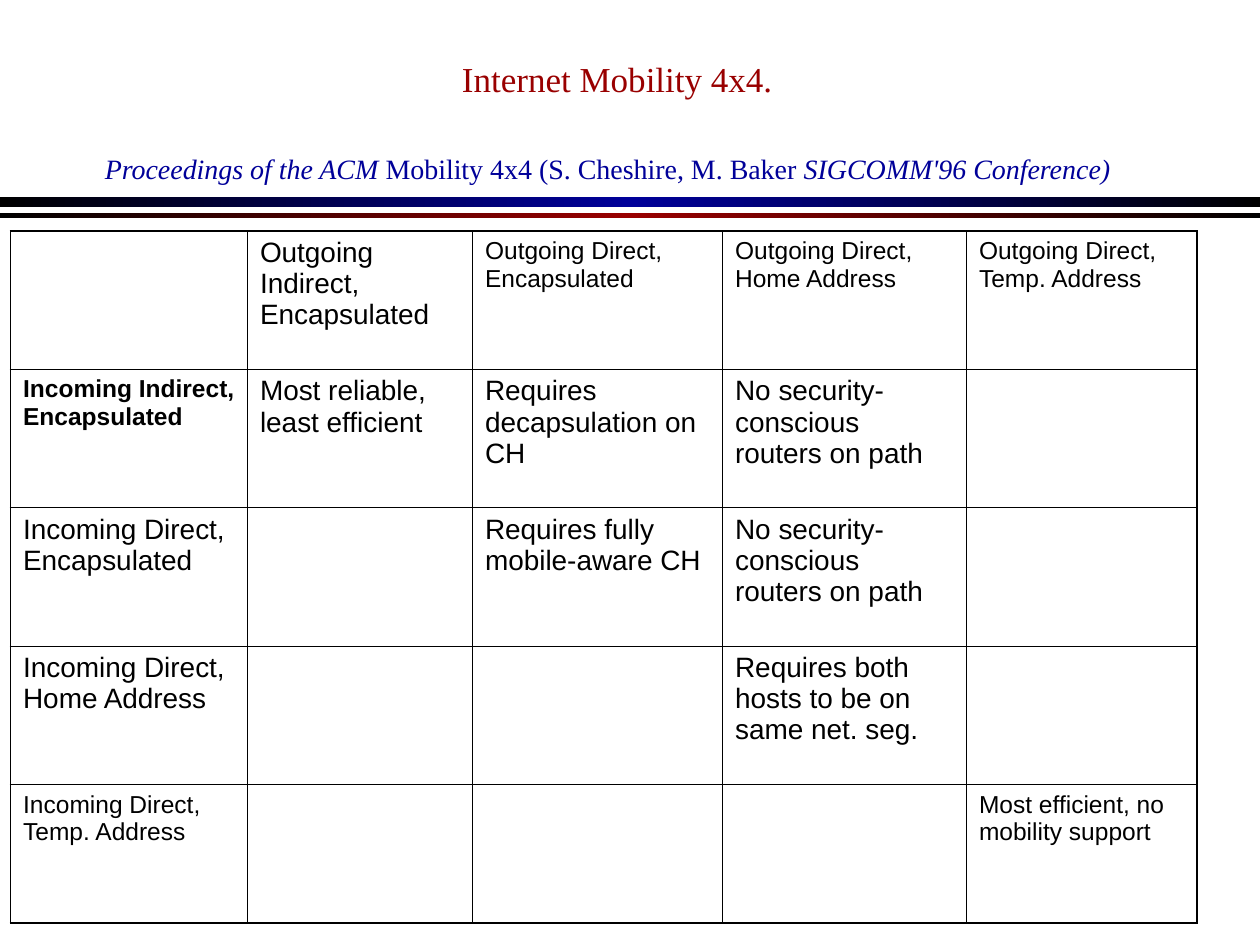
from dataclasses import dataclass

from lxml import etree
from pptx import Presentation
from pptx import util as u
from pptx.dml.color import RGBColor
from pptx.enum import shapes, text
from pptx.oxml import ns

HEADING = "Internet Mobility 4x4."
CITATION = [
    ("Proceedings of the ACM ", True),
    ("Mobility 4x4 (S. Cheshire, M. Baker", False),
    (" SIGCOMM'96 Conference)", True),
]
GRID = [
    ["", "Outgoing Indirect, Encapsulated", "Outgoing Direct, Encapsulated",
     "Outgoing Direct, Home Address", "Outgoing Direct, Temp. Address"],
    ["Incoming Indirect, Encapsulated", "Most reliable, least efficient",
     "Requires decapsulation on CH", "No security-conscious routers on path", ""],
    ["Incoming Direct, Encapsulated", "", "Requires fully mobile-aware CH",
     "No security-conscious routers on path", ""],
    ["Incoming Direct, Home Address", "", "", "Requires both hosts to be on same net. seg.", ""],
    ["Incoming Direct, Temp. Address", "", "", "", "Most efficient, no mobility support"],
]
SMALL_CELLS = {(0, 2), (0, 3), (0, 4), (1, 0), (4, 0), (4, 4)}
BOLD_CELLS = {(1, 0)}
COL_WIDTHS = [135.4, 128.6, 142.9, 139.4, 131.7]
ROW_HEIGHT = 79.1


@dataclass
class Theme:
    serif: str = "Times New Roman"
    sans: str = "Arial"
    black: str = "000000"
    blue: str = "000099"
    red: str = "990000"
    heading: int = 20
    body: int = 16
    small: int = 14
    outer: float = 1.08
    inner: float = 0.45


T = Theme()
BARS = [(112.5, 5.7, T.blue), (121.7, 2.9, T.red)]


def style(r, font, size, color, bold=False, italic=False):
    f = r.font
    f.name, f.size, f.bold, f.italic = font, u.Pt(size), bold, italic
    f.color.rgb = RGBColor.from_string(color)


def add_bar(s, top, height, color):
    sp = s.shapes.add_shape(shapes.MSO_SHAPE.RECTANGLE, 0, u.Pt(top), u.Pt(720), u.Pt(height))
    sp.shadow.inherit = False
    sp.line.fill.background()
    sp.fill.gradient()
    sp.fill.gradient_angle = 0
    stops = sp._element.spPr.find(".//" + ns.qn("a:gsLst"))
    for stop in list(stops):
        stops.remove(stop)
    for pos, c in [(0, T.black), (50, color), (100, T.black)]:
        gs = etree.SubElement(stops, ns.qn("a:gs"), pos=str(pos * 1000))
        etree.SubElement(gs, ns.qn("a:srgbClr"), val=c)


def set_borders(cell, row, col):
    last_row, last_col = len(GRID) - 1, len(COL_WIDTHS) - 1
    edges = {"L": col == 0, "R": col == last_col, "T": row == 0, "B": row == last_row}
    for i, (side, outer) in enumerate(edges.items()):
        width = u.Pt(T.outer if outer else T.inner)
        ln = etree.Element(ns.qn("a:ln" + side), w=str(width))
        fill = etree.SubElement(ln, ns.qn("a:solidFill"))
        etree.SubElement(fill, ns.qn("a:srgbClr"), val=T.black)
        cell._tc.get_or_add_tcPr().insert(i, ln)


def add_title(s):
    sp = s.shapes.title
    sp.left, sp.top, sp.width, sp.height = u.Pt(41.8), u.Pt(77.8), u.Pt(617.8), u.Pt(90)
    tf = sp.text_frame
    tf.auto_size = text.MSO_AUTO_SIZE.NONE
    tf.vertical_anchor = text.MSO_ANCHOR.BOTTOM
    tf.margin_bottom = u.Pt(62)
    tf.text = HEADING
    p = tf.paragraphs[0]
    p.alignment = text.PP_ALIGN.CENTER
    p._p.get_or_add_pPr().set("marL", str(u.Pt(4)))
    style(p.runs[0], T.serif, T.heading, T.red)
    p = tf.add_paragraph()
    p.alignment = text.PP_ALIGN.CENTER
    p.space_before = u.Pt(30)
    p._p.get_or_add_pPr().set("marR", str(u.Pt(11)))
    for words, italic in CITATION:
        r = p.add_run()
        r.text = words
        style(r, T.serif, T.body, T.blue, italic=italic)


def add_grid(s):
    table = s.shapes.add_table(
        len(GRID), len(COL_WIDTHS), u.Pt(6), u.Pt(132),
        u.Pt(sum(COL_WIDTHS)), u.Pt(ROW_HEIGHT * len(GRID))).table
    table.first_row = table.horz_banding = False
    for column, width in zip(table.columns, COL_WIDTHS):
        column.width = u.Pt(width)
    for i, row in enumerate(GRID):
        table.rows[i].height = u.Pt(ROW_HEIGHT)
        for j, words in enumerate(row):
            cell = table.cell(i, j)
            cell.fill.background()
            set_borders(cell, i, j)
            if words:
                size = T.small if (i, j) in SMALL_CELLS else T.body
                p = cell.text_frame.paragraphs[0]
                p.text = words
                p.space_before = u.Pt(size / 4)
                style(p.runs[0], T.sans, size, T.black, bold=(i, j) in BOLD_CELLS)


def main():
    prs = Presentation()
    prs.slide_width, prs.slide_height = u.Pt(720), u.Pt(540)
    s = prs.slides.add_slide(prs.slide_layouts[5])
    for bar in BARS:
        add_bar(s, *bar)
    add_title(s)
    add_grid(s)
    prs.save("out.pptx")


if __name__ == "__main__":
    main()
